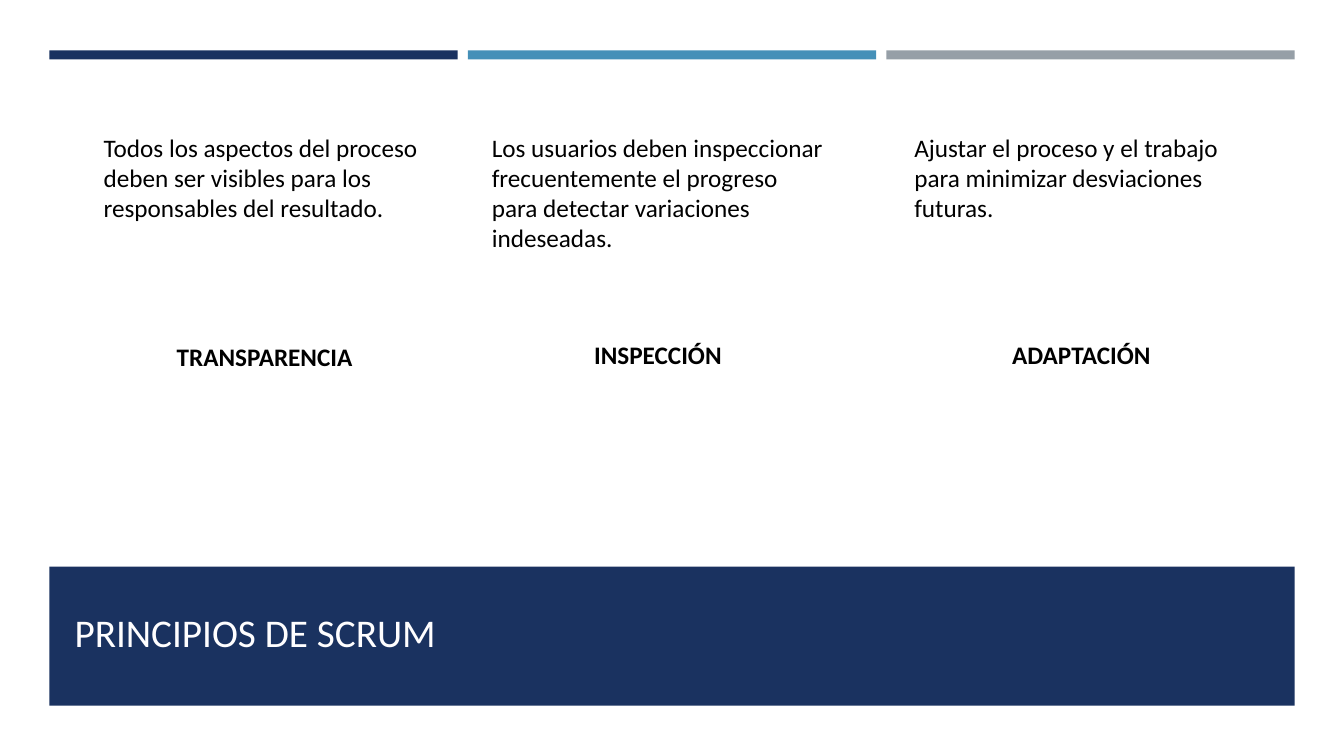
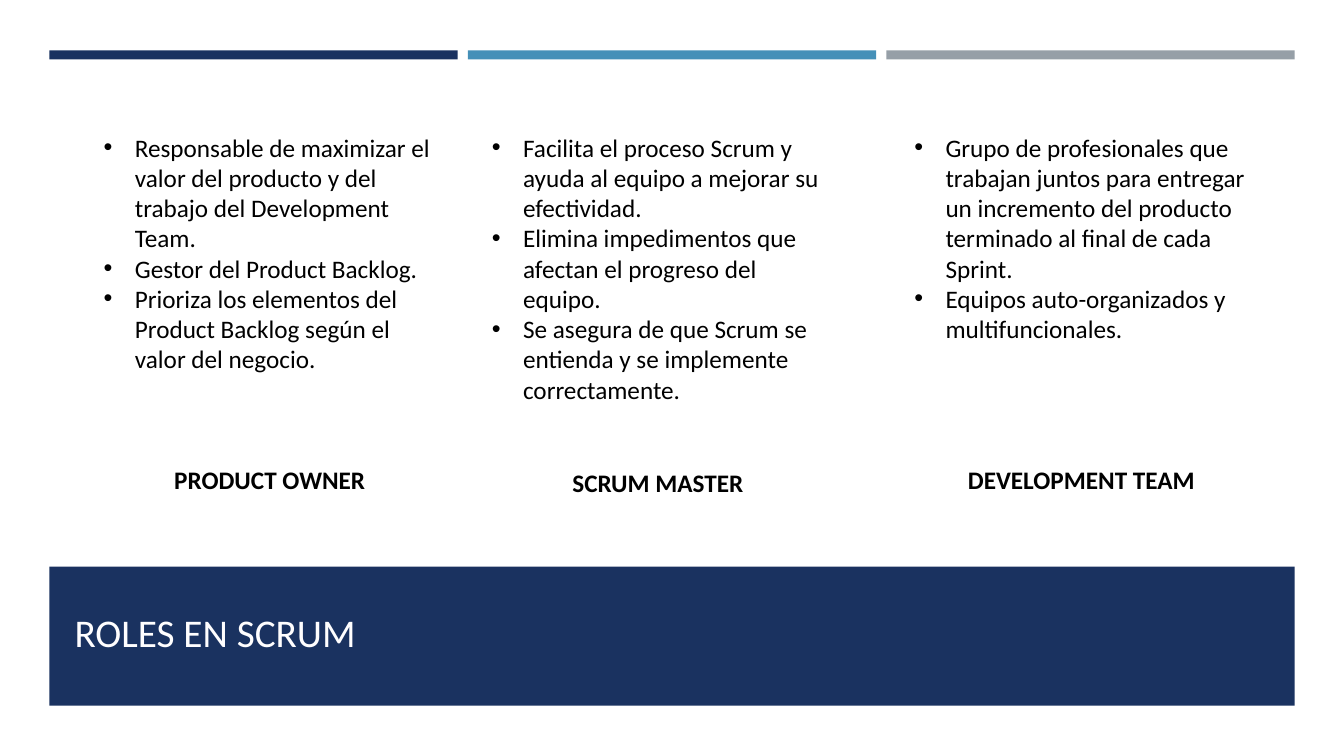
from dataclasses import dataclass

from lxml.etree import SubElement
from pptx import Presentation
from pptx.dml.color import RGBColor
from pptx.enum.shapes import MSO_SHAPE as Preset
from pptx.enum.text import MSO_ANCHOR as Anchor, MSO_AUTO_SIZE as AutoSize, PP_ALIGN as Align
from pptx.oxml.ns import qn
from pptx.shapes.autoshape import Shape
from pptx.slide import Slide
from pptx.text.text import _Paragraph as Paragraph
from pptx.util import Inches, Pt


@dataclass(frozen=True)
class Theme:
    navy: str = "1A3260"
    blue: str = "4590B8"
    gray: str = "969FA7"
    text: str = "000000"
    title: str = "FFFEFF"
    font: str = "Calibri"
    title_size: int = 28
    body_size: int = 18


@dataclass(frozen=True)
class Frame:
    left: float
    top: float
    width: float
    height: float

    def lengths(self) -> tuple[Inches, Inches, Inches, Inches]:
        return Inches(self.left), Inches(self.top), Inches(self.width), Inches(self.height)


@dataclass(frozen=True)
class Column:
    label: str
    label_left: float
    label_top: float
    sentences: tuple[str, ...]


@dataclass(frozen=True)
class ColumnPage:
    title: str
    columns: tuple[Column, ...]
    bulleted: bool = False


THEME = Theme()
BAND = Frame(0.49, 5.62, 12.35, 1.38)
TITLE = Frame(0.64, 5.76, 12.06, 0.79)
BAR_COLORS = (THEME.navy, THEME.blue, THEME.gray)
BAR_TOP, BAR_WIDTH, BAR_HEIGHT, BAR_GAP = 0.5, 4.05, 0.09, 0.1
BODY_LEFTS = (0.93, 4.78, 8.97)
BODY_TOP, BODY_WIDTH, LINE_HEIGHT = 1.26, 3.5, 0.4
LABEL_WIDTH = 3.27
BULLET_INDENT = 0.31

PAGES = (
    ColumnPage("PRINCIPIOS DE SCRUM", (
        Column("TRANSPARENCIA", 0.99, 3.34, (
            "Todos los aspectos del proceso deben ser visibles para los responsables del resultado.",
        )),
        Column("INSPECCIÓN", 4.89, 3.32, (
            "Los usuarios deben inspeccionar frecuentemente el progreso para detectar variaciones indeseadas.",
        )),
        Column("ADAPTACIÓN", 9.09, 3.32, (
            "Ajustar el proceso y el trabajo para minimizar desviaciones futuras.",
        )),
    )),
    ColumnPage("ROLES EN SCRUM", (
        Column("PRODUCT OWNER", 1.04, 4.56, (
            "Responsable de maximizar el valor del producto y del trabajo del Development Team.",
            "Gestor del Product Backlog.",
            "Prioriza los elementos del Product Backlog según el valor del negocio.",
        )),
        Column("SCRUM MASTER", 4.89, 4.59, (
            "Facilita el proceso Scrum y ayuda al equipo a mejorar su efectividad.",
            "Elimina impedimentos que afectan el progreso del equipo.",
            "Se asegura de que Scrum se entienda y se implemente correctamente.",
        )),
        Column("DEVELOPMENT TEAM", 9.09, 4.56, (
            "Grupo de profesionales que trabajan juntos para entregar un incremento "
            "del producto terminado al final de cada Sprint.",
            "Equipos auto-organizados y multifuncionales.",
        )),
    ), bulleted=True),
)


def add_rectangle(page: Slide, frame: Frame, color: str) -> Shape:
    rectangle = page.shapes.add_shape(Preset.RECTANGLE, *frame.lengths())
    rectangle.shadow.inherit = False
    rectangle.fill.solid()
    rectangle.fill.fore_color.rgb = RGBColor.from_string(color)
    rectangle.line.fill.background()
    return rectangle


def add_span(para: Paragraph, text: str, size: int, color: str, bold: bool = False) -> None:
    span = para.add_run()
    span.text = text
    span.font.name = THEME.font
    span.font.size = Pt(size)
    span.font.bold = bold
    span.font.color.rgb = RGBColor.from_string(color)


def add_bullet(para: Paragraph) -> None:
    properties = para._p.get_or_add_pPr()
    properties.set("marL", str(Inches(BULLET_INDENT)))
    properties.set("indent", str(-Inches(BULLET_INDENT)))
    color = SubElement(properties, qn("a:buClr"))
    SubElement(color, qn("a:srgbClr"), val=THEME.text)
    SubElement(properties, qn("a:buFont"), typeface="Arial")
    SubElement(properties, qn("a:buChar"), char="•")


def add_text(page: Slide, frame: Frame, sentences: tuple[str, ...], align: Align = Align.LEFT,
             bold: bool = False, bulleted: bool = False) -> None:
    box = page.shapes.add_textbox(*frame.lengths())
    text_frame = box.text_frame
    text_frame.word_wrap = True
    text_frame.auto_size = AutoSize.SHAPE_TO_FIT_TEXT
    for index, sentence in enumerate(sentences):
        para = text_frame.add_paragraph() if index else text_frame.paragraphs[0]
        para.alignment = align
        if bulleted:
            add_bullet(para)
        add_span(para, sentence, THEME.body_size, THEME.text, bold)


def add_title(page: Slide, text: str) -> None:
    band = add_rectangle(page, BAND, THEME.navy)
    title = page.shapes.title
    band.element.addnext(title.element)
    title.left, title.top, title.width, title.height = TITLE.lengths()
    title.text_frame.vertical_anchor = Anchor.BOTTOM
    title.text_frame.auto_size = AutoSize.NONE
    para = title.text_frame.paragraphs[0]
    para.alignment = Align.LEFT
    add_span(para, text, THEME.title_size, THEME.title)


def add_bars(page: Slide) -> None:
    for index, color in enumerate(BAR_COLORS):
        left = BAND.left + index * (BAR_WIDTH + BAR_GAP)
        add_rectangle(page, Frame(left, BAR_TOP, BAR_WIDTH, BAR_HEIGHT), color)


def add_page(deck: Presentation, content: ColumnPage) -> None:
    page = deck.slides.add_slide(deck.slide_layouts.get_by_name("Title Only"))
    add_bars(page)
    add_title(page, content.title)
    for left, column in zip(BODY_LEFTS, content.columns):
        body = Frame(left, BODY_TOP, BODY_WIDTH, LINE_HEIGHT)
        add_text(page, body, column.sentences, bulleted=content.bulleted)
    for column in content.columns:
        label = Frame(column.label_left, column.label_top, LABEL_WIDTH, LINE_HEIGHT)
        add_text(page, label, (column.label,), Align.CENTER, bold=True)


def main() -> None:
    deck = Presentation()
    deck.slide_width, deck.slide_height = Inches(13.33), Inches(7.5)
    for content in PAGES:
        add_page(deck, content)
    deck.save("out.pptx")


if __name__ == "__main__":
    main()
